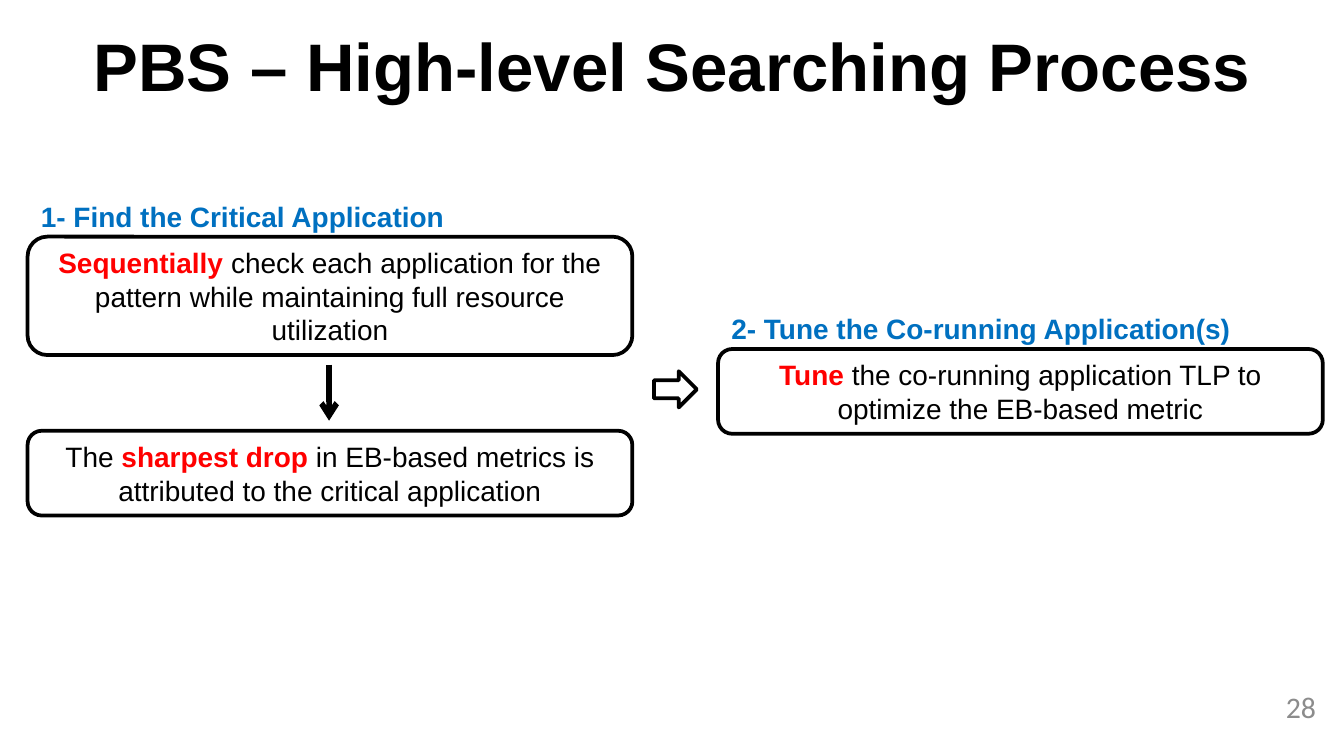
from lxml import etree
from pptx import Presentation
from pptx.dml.color import RGBColor
from pptx.enum.shapes import MSO_CONNECTOR, MSO_SHAPE
from pptx.enum.text import MSO_ANCHOR, MSO_AUTO_SIZE, PP_ALIGN
from pptx.oxml.ns import qn
from pptx.util import Pt

BLACK = RGBColor(0x00, 0x00, 0x00)
WHITE = RGBColor(0xFF, 0xFF, 0xFF)
RED = RGBColor(0xFF, 0x00, 0x00)
BLUE = RGBColor(0x00, 0x70, 0xC0)
GRAY = RGBColor(0x8C, 0x8C, 0x8C)

ROUNDED, RIGHT_ARROW = MSO_SHAPE.ROUNDED_RECTANGLE, MSO_SHAPE.RIGHT_ARROW
STRAIGHT = MSO_CONNECTOR.STRAIGHT
MIDDLE, NO_FIT = MSO_ANCHOR.MIDDLE, MSO_AUTO_SIZE.NONE
LEFT, CENTER, RIGHT = PP_ALIGN.LEFT, PP_ALIGN.CENTER, PP_ALIGN.RIGHT

STEP_WIDTH = 324
LABEL_RISE, LABEL_HEIGHT = 23.4, 25.2  # label top above its step, label height


def format_paragraph(para, size, color, align, bold=False, font="Arial"):
    para.alignment = align
    para.font.name = font
    para.font.size = Pt(size)
    para.font.bold = bold
    para.font.color.rgb = color


def add_title(page, text, left, top, width, height):
    title = page.shapes.title
    title.left, title.top = Pt(left), Pt(top)
    title.width, title.height = Pt(width), Pt(height)
    frame = title.text_frame
    frame.text = text
    frame.auto_size = NO_FIT
    frame.vertical_anchor = MIDDLE
    format_paragraph(frame.paragraphs[0], 36, BLACK, CENTER, bold=True)


def add_page_number(page, text, left, top, width, height):
    box = page.shapes.add_textbox(Pt(left), Pt(top), Pt(width), Pt(height))
    frame = box.text_frame
    frame.text = text
    frame.word_wrap = True
    frame.vertical_anchor = MIDDLE
    format_paragraph(frame.paragraphs[0], 16, GRAY, RIGHT, font="Calibri")


def add_outlined_shape(page, kind, left, top, width, height):
    shape = page.shapes.add_shape(kind, Pt(left), Pt(top), Pt(width), Pt(height))
    shape.shadow.inherit = False
    shape.fill.solid()
    shape.fill.fore_color.rgb = WHITE
    shape.line.color.rgb = BLACK
    shape.line.width = Pt(2)
    return shape


def add_step(page, before, keyword, after, left, top, height):
    """Place a rounded box whose keyword is bold red."""
    step = add_outlined_shape(page, ROUNDED, left, top, STEP_WIDTH, height)
    frame = step.text_frame
    frame.word_wrap = True
    frame.vertical_anchor = MIDDLE
    para = frame.paragraphs[0]
    format_paragraph(para, 15, BLACK, CENTER)
    for text in (before, keyword, after):
        if text:
            span = para.add_run()
            span.text = text
            # Shape style would otherwise colour the text white
            span.font.color.rgb = RED if text == keyword else BLACK
            span.font.bold = text == keyword


def add_step_label(page, text, left, step_top, width):
    box = page.shapes.add_textbox(
        Pt(left), Pt(step_top - LABEL_RISE), Pt(width), Pt(LABEL_HEIGHT))
    frame = box.text_frame
    frame.text = text
    frame.word_wrap = False
    format_paragraph(frame.paragraphs[0], 15, BLUE, LEFT, bold=True)


def add_down_arrow(page, x, top, bottom):
    arrow = page.shapes.add_connector(STRAIGHT, Pt(x), Pt(top), Pt(x), Pt(bottom))
    arrow.line.color.rgb = BLACK
    arrow.line.width = Pt(3)
    etree.SubElement(arrow.line._get_or_add_ln(), qn("a:tailEnd"), type="arrow")
    etree.SubElement(arrow._element.spPr, qn("a:effectLst"))


def add_find_stage(page, left, top):
    add_step(page, "", "Sequentially",
             " check each application for the pattern while maintaining"
             " full resource utilization", left, top, 63.4)
    add_step_label(page, "1- Find the Critical Application", left, top, 232.6)
    add_step(page, "The ", "sharpest drop",
             " in EB-based metrics is attributed to the critical application",
             left, top + 104, 45.4)
    add_down_arrow(page, left + STEP_WIDTH / 2 - 0.5, top + 68.6, top + 98.6)


def add_tune_stage(page, left, top):
    add_step(page, "", "Tune",
             " the co-running application TLP to optimize the EB-based metric",
             left, top, 45.4)
    add_step_label(page, "2- Tune the Co-running Application(s)", left, top, 284.4)


def main():
    deck = Presentation()
    deck.slide_width, deck.slide_height = Pt(720), Pt(405)
    page = deck.slides.add_slide(deck.slide_layouts[5])

    add_title(page, "PBS – High-level Searching Process", 8.6, 0.7, 703.4, 67.7)
    add_page_number(page, "28", 544.3, 368, 167.8, 21.6)

    # Two stages, with a block arrow from the first to the second
    add_outlined_shape(page, RIGHT_ARROW, 350.3, 198.9, 23, 19.4)
    add_tune_stage(page, 384.7, 187)
    add_find_stage(page, 14.8, 126.8)

    deck.save("out.pptx")


if __name__ == "__main__":
    main()
